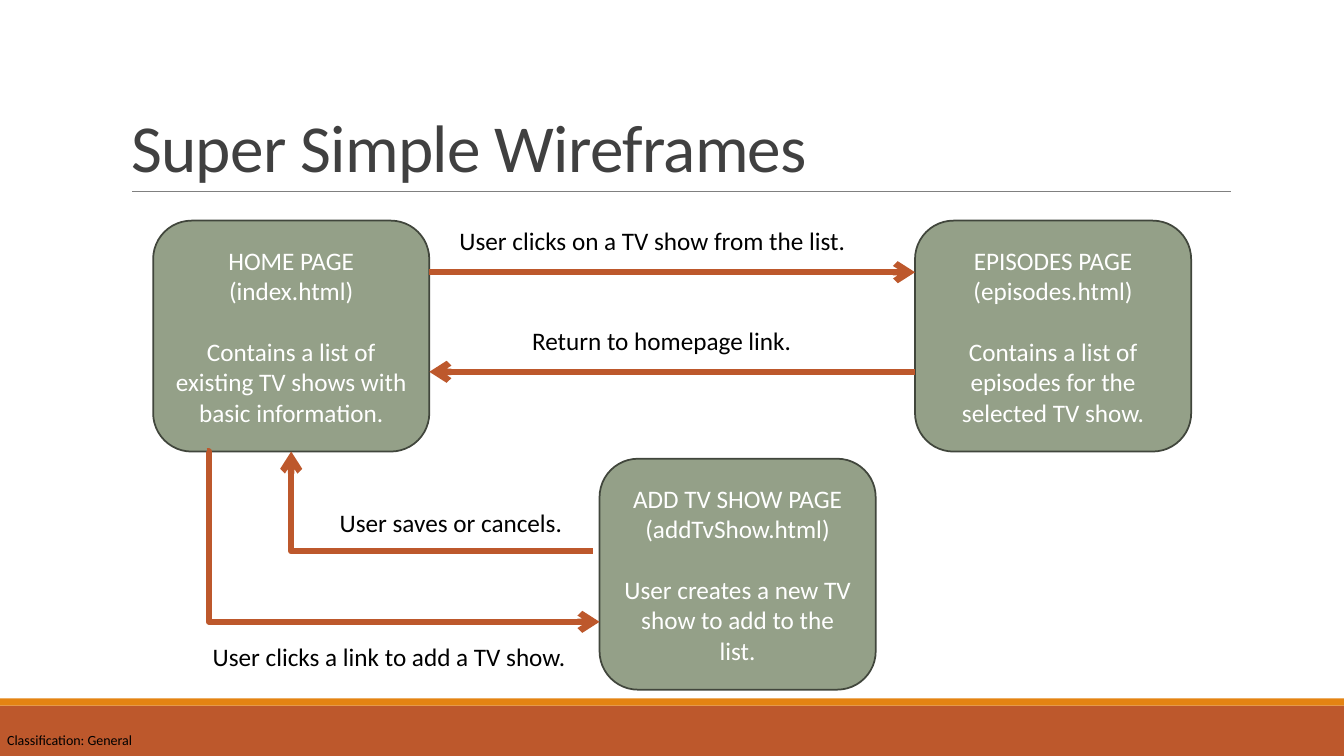
"""Build the slide that shows the wireframes of a TV show site and the links between its pages."""
from dataclasses import dataclass

from lxml import etree
from pptx import Presentation
from pptx import util as u
from pptx.dml.color import RGBColor
from pptx.enum import shapes, text
from pptx.oxml.ns import qn

FONT = "Calibri"
RUST, ORANGE, SAGE, MOSS = "BD582C", "E48312", "94A088", "41463C"
BLACK, WHITE, CHARCOAL, GREY = "000000", "FFFFFF", "404040", "808080"
SLIDE_WIDTH, SLIDE_HEIGHT = 33.87, 19.05
PAGE_WIDTH, PAGE_HEIGHT = 6.96, 5.82
HOME_LEFT, ADD_LEFT, EPISODES_LEFT = 3.86, 15.11, 23.06
TOP_ROW, BOTTOM_ROW = 5.56, 11.56
HOME_RIGHT, HOME_BOTTOM = HOME_LEFT + PAGE_WIDTH, TOP_ROW + PAGE_HEIGHT
HOME_MIDDLE = HOME_LEFT + PAGE_WIDTH / 2


@dataclass
class Page:
    left: float
    top: float
    name: str
    file: str
    purpose: str


@dataclass
class Label:
    left: float
    top: float
    width: float
    words: str
    height: float = 1.02
    size: float = 18
    inset: bool = True


@dataclass
class Link:
    start: tuple[float, float]
    end: tuple[float, float]
    preset: str = "line"
    bend: int | None = None
    color: str = RUST
    weight: float = 4.5
    arrow: bool = True


@dataclass
class Band:
    top: float
    height: float
    color: str


BANDS = [Band(17.78, 1.27, RUST), Band(17.6, 0.18, ORANGE)]
PAGES = [
    Page(EPISODES_LEFT, TOP_ROW, "EPISODES PAGE", "(episodes.html)",
         "Contains a list of episodes for the selected TV show."),
    Page(ADD_LEFT, BOTTOM_ROW, "ADD TV SHOW PAGE", "(addTvShow.html)",
         "User creates a new TV show to add to the list."),
    Page(HOME_LEFT, TOP_ROW, "HOME PAGE", "(index.html)",
         "Contains a list of existing TV shows with basic information."),
]
LINKS = [
    Link((3.33, 4.83), (31.01, 4.83), color=GREY, weight=0.5, arrow=False),
    Link((HOME_RIGHT, 6.86), (EPISODES_LEFT, 6.86)),
    Link((EPISODES_LEFT, 9.37), (HOME_RIGHT, 9.37)),
    Link((5.21, HOME_BOTTOM), (ADD_LEFT, 15.67), "bentConnector3", 600),
    Link((14.94, 13.89), (HOME_MIDDLE, HOME_BOTTOM), "bentConnector2"),
]
LABELS = [
    Label(11.33, 5.56, 10.64, "User clicks on a TV show from the list."),
    Label(13.16, 8.08, 7.54, "Return to homepage link."),
    Label(5.11, 16.03, 9.93, "User clicks a link to add a TV show."),
    Label(8.31, 12.65, 6.12, "User saves or cancels."),
    Label(0.18, 18.44, 3.25, "Classification: General", 0.43, 10, False),
]


def rgb(color: str) -> RGBColor:
    """Turn a hex string into a colour."""
    return RGBColor.from_string(color)


def format_text(frame, size: float, color: str) -> None:
    """Give every run of a text frame its font, size and colour."""
    for para in frame.paragraphs:
        for span in para.runs:
            span.font.name = FONT
            span.font.size = u.Pt(size)
            span.font.color.rgb = rgb(color)


def draw_title(slide, words: str) -> None:
    """Move and format the title placeholder."""
    title = slide.shapes.title
    title.left, title.top = u.Cm(3.05), u.Cm(0.79)
    title.width, title.height = u.Cm(27.94), u.Cm(4.04)
    frame = title.text_frame
    frame.text = words
    frame.auto_size = text.MSO_AUTO_SIZE.NONE
    frame.vertical_anchor = text.MSO_ANCHOR.BOTTOM
    para = frame.paragraphs[0]
    para.alignment = text.PP_ALIGN.LEFT
    para.line_spacing = 0.85
    format_text(frame, 48, CHARCOAL)
    para.runs[0].font._element.set("spc", "-50")


def draw_band(slide, band: Band) -> None:
    """Draw a full-width band at the foot of the slide."""
    box = slide.shapes.add_shape(shapes.MSO_SHAPE.RECTANGLE, 0, u.Cm(band.top),
                                 u.Cm(SLIDE_WIDTH), u.Cm(band.height))
    box.shadow.inherit = False
    box.fill.solid()
    box.fill.fore_color.rgb = rgb(band.color)
    box.line.fill.background()


def draw_page(slide, page: Page) -> None:
    """Draw a web page as a rounded box with its name, file and purpose."""
    box = slide.shapes.add_shape(shapes.MSO_SHAPE.ROUNDED_RECTANGLE, u.Cm(page.left),
                                 u.Cm(page.top), u.Cm(PAGE_WIDTH), u.Cm(PAGE_HEIGHT))
    box.shadow.inherit = False
    box.fill.solid()
    box.fill.fore_color.rgb = rgb(SAGE)
    box.line.color.rgb = rgb(MOSS)
    box.line.width = u.Pt(1.25)
    frame = box.text_frame
    frame.word_wrap = True
    frame.vertical_anchor = text.MSO_ANCHOR.MIDDLE
    frame.text = "\n".join((page.name, page.file, page.purpose))
    for para in frame.paragraphs:
        para.alignment = text.PP_ALIGN.CENTER
    frame.paragraphs[-1].space_before = u.Pt(22)
    format_text(frame, 18, WHITE)


def draw_link(slide, link: Link) -> None:
    """Draw a straight or bent line, with an arrowhead where one is wanted."""
    kind = shapes.MSO_CONNECTOR.STRAIGHT if link.preset == "line" else shapes.MSO_CONNECTOR.ELBOW
    ends = [u.Cm(value) for value in (*link.start, *link.end)]
    connector = slide.shapes.add_connector(kind, *ends)
    connector.line.color.rgb = rgb(link.color)
    connector.line.width = u.Pt(link.weight)
    properties = connector._element.spPr
    geometry = properties.find(qn("a:prstGeom"))
    geometry.set("prst", link.preset)
    if link.bend is not None:
        guide = etree.SubElement(geometry.find(qn("a:avLst")), qn("a:gd"))
        guide.set("name", "adj1")
        guide.set("fmla", f"val {link.bend}")
    if link.arrow:
        etree.SubElement(properties.find(qn("a:ln")), qn("a:tailEnd")).set("type", "arrow")
    etree.SubElement(properties, qn("a:effectLst"))


def draw_label(slide, label: Label) -> None:
    """Draw a line of black text."""
    box = slide.shapes.add_textbox(u.Cm(label.left), u.Cm(label.top),
                                   u.Cm(label.width), u.Cm(label.height))
    frame = box.text_frame
    frame.word_wrap = True
    if not label.inset:
        frame.margin_left = frame.margin_right = frame.margin_top = frame.margin_bottom = 0
    frame.text = label.words
    format_text(frame, label.size, BLACK)


def main() -> None:
    """Build and save the deck."""
    deck = Presentation()
    deck.slide_width, deck.slide_height = u.Cm(SLIDE_WIDTH), u.Cm(SLIDE_HEIGHT)
    slide = deck.slides.add_slide(deck.slide_layouts[5])
    draw_title(slide, "Super Simple Wireframes")
    for draw, items in ((draw_band, BANDS), (draw_page, PAGES),
                        (draw_link, LINKS), (draw_label, LABELS)):
        for item in items:
            draw(slide, item)
    deck.save("out.pptx")


if __name__ == "__main__":
    main()
